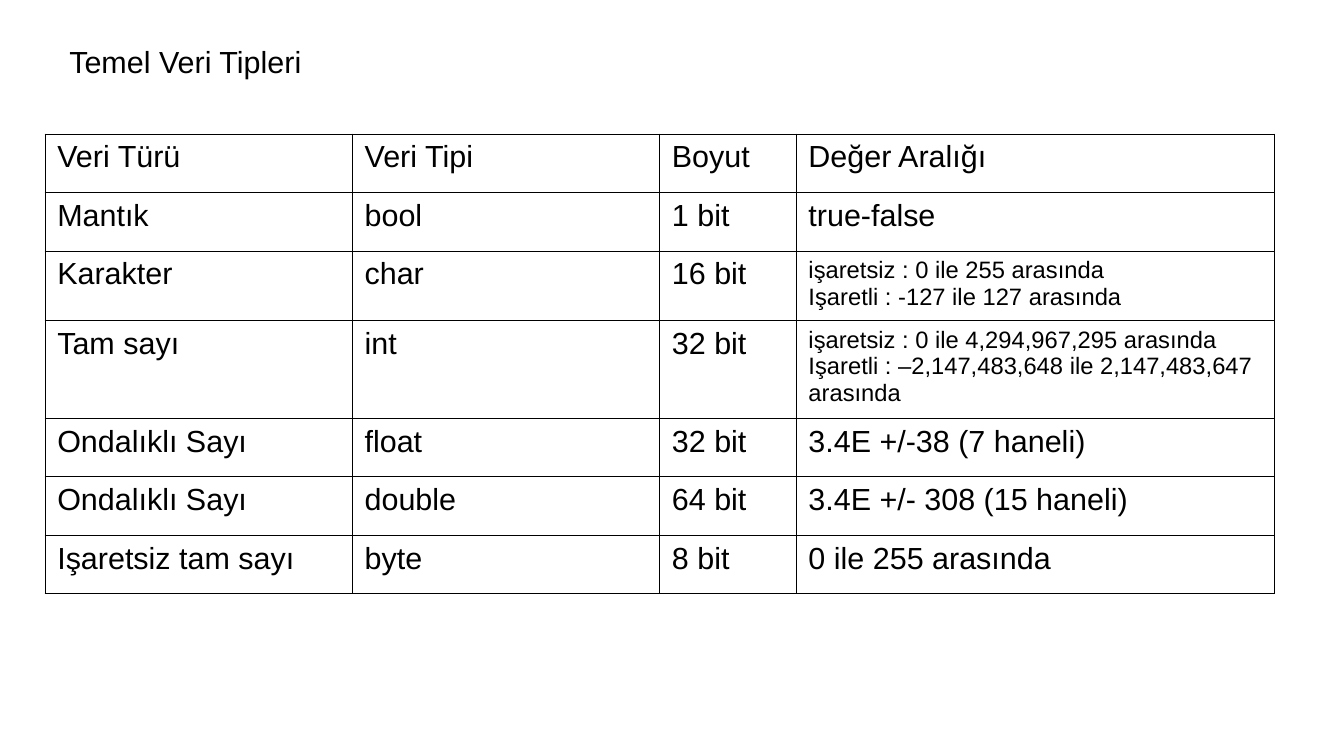
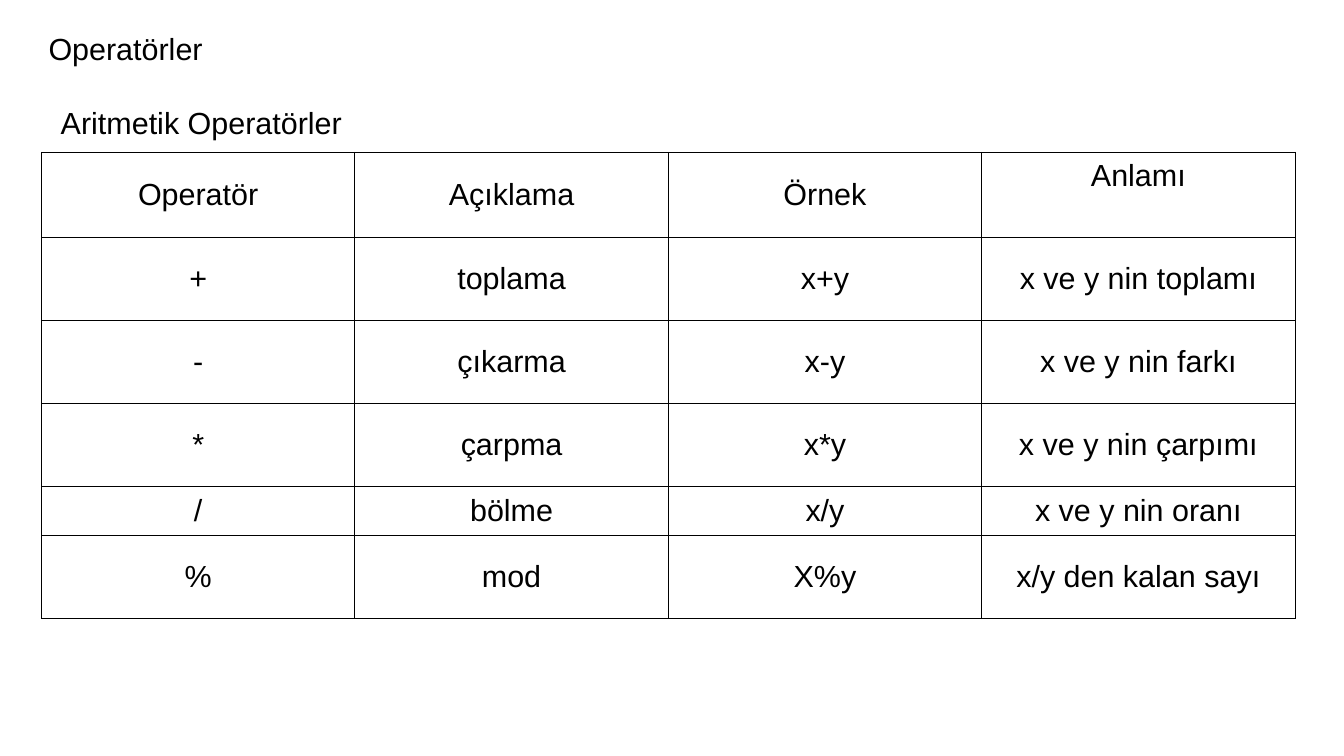
import pptx
import pptx.dml.color
import pptx.enum.text
import pptx.oxml
import pptx.oxml.ns
import pptx.util

Inches = pptx.util.Inches
Pt = pptx.util.Pt
Align = pptx.enum.text.PP_ALIGN
Anchor = pptx.enum.text.MSO_ANCHOR


def color(value):
    return pptx.dml.color.RGBColor.from_string(value)


class Deck:
    font = "Arial"
    ink = "000000"
    background = "FFFFFF"
    body_size = 18
    detail_size = 14
    border_width = 0.57

    def __init__(self):
        self.presentation = pptx.Presentation()
        self.presentation.slide_width = Inches(11.02)
        self.presentation.slide_height = Inches(6.2)
        self.slide = None

    def add_slide(self):
        self.slide = self.presentation.slides.add_slide(self.presentation.slide_layouts[6])
        fill = self.slide.background.fill
        fill.solid()
        fill.fore_color.rgb = color(self.background)

    def set_text(self, text_frame, text, size, alignment=Align.LEFT):
        text_frame.text = text
        for paragraph in text_frame.paragraphs:
            paragraph.alignment = alignment
            for run in paragraph.runs:
                run.font.name = self.font
                run.font.size = Pt(size)
                run.font.color.rgb = color(self.ink)

    def add_heading(self, text, left, top, width):
        shape = self.slide.shapes.add_textbox(
            Inches(left), Inches(top), Inches(width), Inches(0.38))
        shape.text_frame.word_wrap = True
        self.set_text(shape.text_frame, text, self.body_size)

    def add_borders(self, cell):
        properties = cell._tc.get_or_add_tcPr()
        for side in ("lnL", "lnR", "lnT", "lnB"):
            properties.append(pptx.oxml.parse_xml(
                f'<a:{side} {pptx.oxml.ns.nsdecls("a")} w="{Pt(self.border_width)}">'
                f'<a:solidFill><a:srgbClr val="{self.ink}"/></a:solidFill></a:{side}>'))

    def add_table(self, left, top, widths, heights, rows,
                  alignment=Align.LEFT, anchor=Anchor.TOP):
        frame = self.slide.shapes.add_table(
            len(heights), len(widths), Inches(left), Inches(top),
            Inches(sum(widths)), Inches(sum(heights)))
        table = frame.table
        table.first_row = False
        table.horz_banding = False
        for column, width in zip(table.columns, widths):
            column.width = Inches(width)
        for row, height, texts in zip(table.rows, heights, rows):
            row.height = Inches(height)
            for cell, text in zip(row.cells, texts):
                size = self.detail_size if "\n" in text else self.body_size
                self.set_text(cell.text_frame, text, size, alignment)
                cell.vertical_anchor = anchor
                self.add_borders(cell)
                cell.fill.background()
        return table


def build_data_types(deck):
    deck.add_slide()
    deck.add_heading("Temel Veri Tipleri", 0.47, 0.3, 6)
    rows = [
        ("Veri Türü", "Veri Tipi", "Boyut", "Değer Aralığı"),
        ("Mantık", "bool", "1 bit", "true-false"),
        ("Karakter", "char", "16 bit",
         "işaretsiz : 0 ile 255 arasında\nIşaretli : -127 ile 127 arasında"),
        ("Tam sayı", "int", "32 bit",
         "işaretsiz : 0 ile 4,294,967,295 arasında\n"
         "Işaretli : –2,147,483,648 ile 2,147,483,647 arasında"),
        ("Ondalıklı Sayı", "float", "32 bit", "3.4E +/-38 (7 haneli)"),
        ("Ondalıklı Sayı", "double", "64 bit", "3.4E +/- 308 (15 haneli)"),
        ("Işaretsiz tam sayı", "byte", "8 bit", "0 ile 255 arasında"),
    ]
    heights = [0.48, 0.48, 0.57, 0.8] + [0.48] * 3
    deck.add_table(0.37, 1.1, [2.52, 2.52, 1.12, 3.92], heights, rows)


def build_operators(deck):
    deck.add_slide()
    deck.add_heading("Operatörler", 0.3, 0.2, 3.7)
    rows = [
        ("Operatör", "Açıklama", "Örnek", "Anlamı"),
        ("+", "toplama", "x+y", "x ve y nin toplamı"),
        ("-", "çıkarma", "x-y", "x ve y nin farkı"),
        ("*", "çarpma", "x*y", "x ve y nin çarpımı"),
        ("/", "bölme", "x/y", "x ve y nin oranı"),
        ("%", "mod", "X%y", "x/y den kalan sayı"),
    ]
    heights = [0.7, 0.68, 0.68, 0.68, 0.39, 0.68]
    table = deck.add_table(0.34, 1.25, [2.57] * 4, heights, rows,
                           Align.CENTER, Anchor.MIDDLE)
    table.cell(0, 3).vertical_anchor = Anchor.TOP
    deck.add_heading("Aritmetik Operatörler", 0.4, 0.8, 3.5)


def main():
    deck = Deck()
    build_data_types(deck)
    build_operators(deck)
    deck.presentation.save("out.pptx")


if __name__ == "__main__":
    main()
